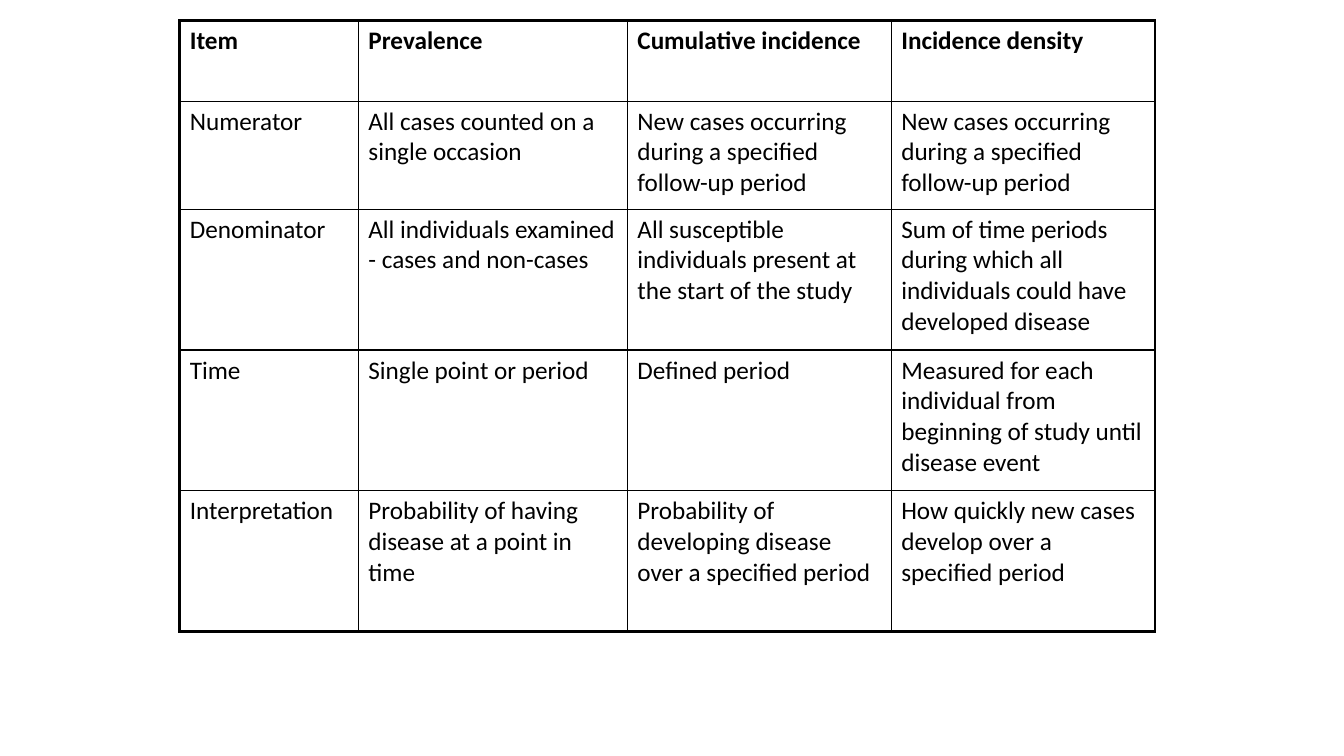
from dataclasses import dataclass

from lxml.etree import SubElement
from pptx import Presentation
from pptx.dml.color import RGBColor
from pptx.oxml.ns import qn
from pptx.slide import Slide
from pptx.table import _Cell
from pptx.util import Cm, Pt

BLACK = "000000"
WHITE = "FFFFFF"
OUTER_LINE = 2.25
INNER_LINE = 1
COLUMN_WIDTHS = (4.5, 6.78, 6.65, 6.65)


@dataclass(frozen=True)
class MeasureRow:
    height: float
    texts: tuple[str, str, str, str]
    bold: bool = False


MEASURE_ROWS = (
    MeasureRow(2.03, ("Item", "Prevalence", "Cumulative incidence", "Incidence density"), True),
    MeasureRow(2.72, (
        "Numerator",
        "All cases counted on a single occasion",
        "New cases occurring during a specified follow-up period",
        "New cases occurring during a specified follow-up period",
    )),
    MeasureRow(3.55, (
        "Denominator",
        "All individuals examined - cases and non-cases",
        "All susceptible individuals present at the start of the study",
        "Sum of time periods during which all individuals could have developed disease",
    )),
    MeasureRow(3.55, (
        "Time",
        "Single point or period",
        "Defined period",
        "Measured for each individual from beginning of study until disease event",
    )),
    MeasureRow(3.55, (
        "Interpretation",
        "Probability of having disease at a point in time",
        "Probability of developing disease over a specified period",
        "How quickly new cases develop over a specified period",
    )),
)


def color(value: str) -> RGBColor:
    return RGBColor.from_string(value)


def set_borders(cell: _Cell, row_index: int, column_index: int) -> None:
    outer_edges = {
        "a:lnL": column_index == 0,
        "a:lnR": column_index == len(COLUMN_WIDTHS) - 1,
        "a:lnT": row_index == 0,
        "a:lnB": row_index == len(MEASURE_ROWS) - 1,
    }
    properties = cell._tc.get_or_add_tcPr()
    for tag, is_outer in outer_edges.items():
        width = Pt(OUTER_LINE if is_outer else INNER_LINE)
        line = SubElement(properties, qn(tag), w=str(int(width)))
        fill = SubElement(line, qn("a:solidFill"))
        SubElement(fill, qn("a:srgbClr"), val=BLACK)


def write_cell(cell: _Cell, text: str, bold: bool) -> None:
    cell.fill.solid()
    cell.fill.fore_color.rgb = color(WHITE)
    cell.text_frame.text = text
    font = cell.text_frame.paragraphs[0].runs[0].font
    font.name = "Calibri"
    font.size = Pt(18)
    font.bold = bold
    font.color.rgb = color(BLACK)


def add_measure_table(slide: Slide) -> None:
    total_height = sum(row.height for row in MEASURE_ROWS)
    table = slide.shapes.add_table(
        len(MEASURE_ROWS), len(COLUMN_WIDTHS),
        Cm(4.53), Cm(0.52), Cm(sum(COLUMN_WIDTHS)), Cm(total_height),
    ).table
    table.horz_banding = False
    table.first_row = False
    for column, width in zip(table.columns, COLUMN_WIDTHS):
        column.width = Cm(width)
    for row_index, measure in enumerate(MEASURE_ROWS):
        table.rows[row_index].height = Cm(measure.height)
        for column_index, text in enumerate(measure.texts):
            cell = table.cell(row_index, column_index)
            set_borders(cell, row_index, column_index)
            write_cell(cell, text, measure.bold)


def main() -> None:
    presentation = Presentation()
    presentation.slide_width = Cm(33.87)
    presentation.slide_height = Cm(19.05)
    slide = presentation.slides.add_slide(presentation.slide_layouts[6])
    add_measure_table(slide)
    presentation.save("out.pptx")


if __name__ == "__main__":
    main()
